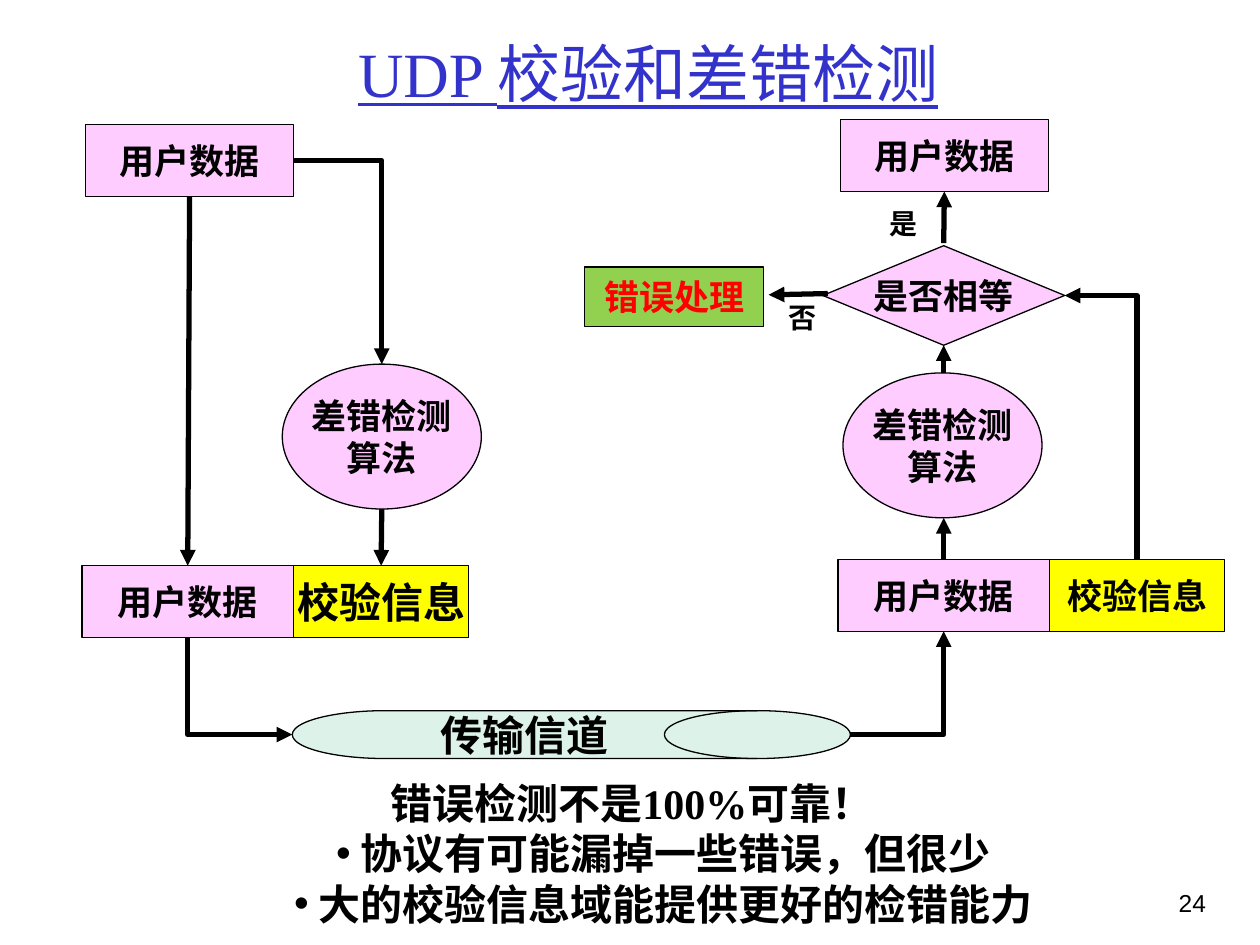
from lxml import etree
from pptx import Presentation
from pptx import util as u
from pptx.dml.color import RGBColor
from pptx.enum import shapes, text
from pptx.oxml.ns import qn

COLORS = {
    "ink": "000000",
    "title": "3333CC",
    "data": "FFCCFF",
    "check": "FFFF00",
    "channel": "DDF3EA",
    "error": "92D050",
    "alert": "FF0000",
}
SANS = "Noto Sans CJK SC"
SERIF = "Times New Roman"
TOP, LEFT, BOTTOM, RIGHT = range(4)
KINDS = shapes.MSO_SHAPE
ALIGN = text.PP_ALIGN
ANCHOR = text.MSO_ANCHOR


def color(name):
    return RGBColor.from_string(COLORS[name])


class FlowSlide:
    LABEL = {"name": SANS, "size": u.Pt(20), "bold": True}

    def __init__(self, slide):
        self.shapes = slide.shapes

    def add_lines(self, frame, lines, ink="ink", align=ALIGN.CENTER, bullets=False, **changes):
        for index, line in enumerate(lines):
            paragraph = frame.paragraphs[0] if index == 0 else frame.add_paragraph()
            paragraph.alignment = align
            if bullets and index:
                self.bullet(paragraph)
            run = paragraph.add_run()
            run.text = line
            for key, value in {**self.LABEL, **changes}.items():
                setattr(run.font, key, value)
            run.font.color.rgb = color(ink)

    def bullet(self, paragraph):
        properties = paragraph._p.get_or_add_pPr()
        properties.set("marL", str(u.Inches(0.5)))
        properties.set("indent", "0")
        etree.SubElement(properties, qn("a:buFont"), typeface="Arial")
        etree.SubElement(properties, qn("a:buChar"), char="•")

    def text_box(self, place, lines, anchor=ANCHOR.TOP, **style):
        frame = self.shapes.add_textbox(*map(u.Inches, place)).text_frame
        frame.word_wrap = True
        frame.vertical_anchor = anchor
        self.add_lines(frame, lines, **style)

    def node(self, kind, place, lines, fill="data", **style):
        shape = self.shapes.add_shape(kind, *map(u.Inches, place))
        shape.shadow.inherit = False
        shape.fill.solid()
        shape.fill.fore_color.rgb = color(fill)
        shape.line.color.rgb = color("ink")
        shape.line.width = u.Pt(0.75)
        shape.text_frame.word_wrap = False
        shape.text_frame.vertical_anchor = ANCHOR.MIDDLE
        self.add_lines(shape.text_frame, lines, **style)
        return shape

    def arrow(self, start, end, start_at=None, end_at=None, bend=None):
        kind = shapes.MSO_CONNECTOR.ELBOW if bend else shapes.MSO_CONNECTOR.STRAIGHT
        connector = self.shapes.add_connector(kind, *map(u.Inches, start + end))
        if start_at:
            connector.begin_connect(*start_at)
        if end_at:
            connector.end_connect(*end_at)
        if bend:
            self.bend_once(connector, bend)
        connector.line.color.rgb = color("ink")
        connector.line.width = u.Pt(3)
        line = connector.line._get_or_add_ln()
        etree.SubElement(line, qn("a:tailEnd"), type="triangle")
        etree.SubElement(connector._element.spPr, qn("a:effectLst"))

    def bend_once(self, connector, bend):
        properties = connector._element.spPr
        properties.find(qn("a:prstGeom")).set("prst", "bentConnector2")
        if bend == "vertical":
            downward = connector.end_y > connector.begin_y
            left, top = connector.left, connector.top
            width, height = connector.width, connector.height
            connector.left = left + (width - height) // 2
            connector.top = top + (height - width) // 2
            connector.width, connector.height = height, width
            frame = properties.find(qn("a:xfrm"))
            frame.attrib.pop("flipV", None)
            frame.set("flipH", "1")
            frame.set("rot", str((270 if downward else 90) * 60000))


def main():
    presentation = Presentation()
    presentation.slide_width = u.Inches(10)
    presentation.slide_height = u.Inches(7.5)
    flow = FlowSlide(presentation.slides.add_slide(presentation.slide_layouts[6]))
    user, check, algorithm = ["用户数据"], ["校验信息"], ["差错检测", "算法"]

    flow.text_box((2.48, 0.16, 5.33, 0.83), ["UDP 校验和差错检测"], ANCHOR.MIDDLE,
                  ink="title", name=SERIF, size=u.Pt(36), bold=False, underline=True)
    flow.text_box((0.46, 6.12, 9.11, 1.3),
                  ["错误检测不是100%可靠！", " 协议有可能漏掉一些错误，但很少",
                   " 大的校验信息域能提供更好的检错能力"],
                  bullets=True, name=SERIF, size=u.Pt(24))

    source = flow.node(KINDS.RECTANGLE, (0.68, 0.99, 1.65, 0.57), user)
    sent = flow.node(KINDS.RECTANGLE, (0.65, 4.49, 1.68, 0.57), user)
    sent_check = flow.node(KINDS.RECTANGLE, (2.33, 4.49, 1.39, 0.57), check,
                           "check", size=u.Pt(24))
    flow.node(KINDS.OVAL, (2.24, 2.89, 1.58, 1.15), algorithm)
    flow.node(KINDS.FLOWCHART_DIRECT_ACCESS_STORAGE, (2.32, 5.64, 4.43, 0.38),
              ["传输信道"], "channel", size=u.Pt(24))

    result = flow.node(KINDS.RECTANGLE, (6.67, 0.95, 1.65, 0.57), user)
    received = flow.node(KINDS.RECTANGLE, (6.65, 4.44, 1.68, 0.57), user)
    received_check = flow.node(KINDS.RECTANGLE, (8.33, 4.44, 1.39, 0.57), check, "check")
    flow.node(KINDS.OVAL, (6.69, 2.96, 1.58, 1.15), algorithm)
    decision = flow.node(KINDS.FLOWCHART_DECISION, (6.53, 1.95, 1.92, 0.79), ["是否相等"])
    flow.node(KINDS.FLOWCHART_PROCESS, (4.64, 2.12, 1.42, 0.47), ["错误处理"],
              "error", ink="alert")

    flow.arrow((2.33, 1.28), (3.03, 2.89), start_at=(source, RIGHT), bend="horizontal")
    flow.arrow((1.5, 1.56), (1.49, 4.49), (source, BOTTOM), (sent, TOP))
    flow.arrow((3.03, 4.04), (3.03, 4.49), end_at=(sent_check, TOP))
    flow.arrow((1.49, 5.06), (2.32, 5.83), start_at=(sent, BOTTOM), bend="vertical")
    flow.arrow((6.75, 5.83), (7.49, 5.01), end_at=(received, BOTTOM), bend="horizontal")
    flow.arrow((7.49, 4.44), (7.49, 4.11), start_at=(received, TOP))
    flow.arrow((7.49, 2.96), (7.49, 2.74), end_at=(decision, BOTTOM))
    flow.arrow((9.03, 4.44), (8.45, 2.35), (received_check, TOP), (decision, RIGHT),
               bend="vertical")
    flow.arrow((7.49, 1.93), (7.49, 1.5), end_at=(result, BOTTOM))
    flow.arrow((6.57, 2.33), (6.1, 2.34))

    for answer, left, top in (("是", 6.94, 1.59), ("否", 6.14, 2.34)):
        flow.text_box((left, top, 0.46, 0.4), [answer], size=u.Pt(16))
    flow.text_box((8.93, 7, 0.74, 0.5), ["24"], align=ALIGN.RIGHT,
                  name="Arial", size=u.Pt(14), bold=False)
    presentation.save("out.pptx")


if __name__ == "__main__":
    main()
